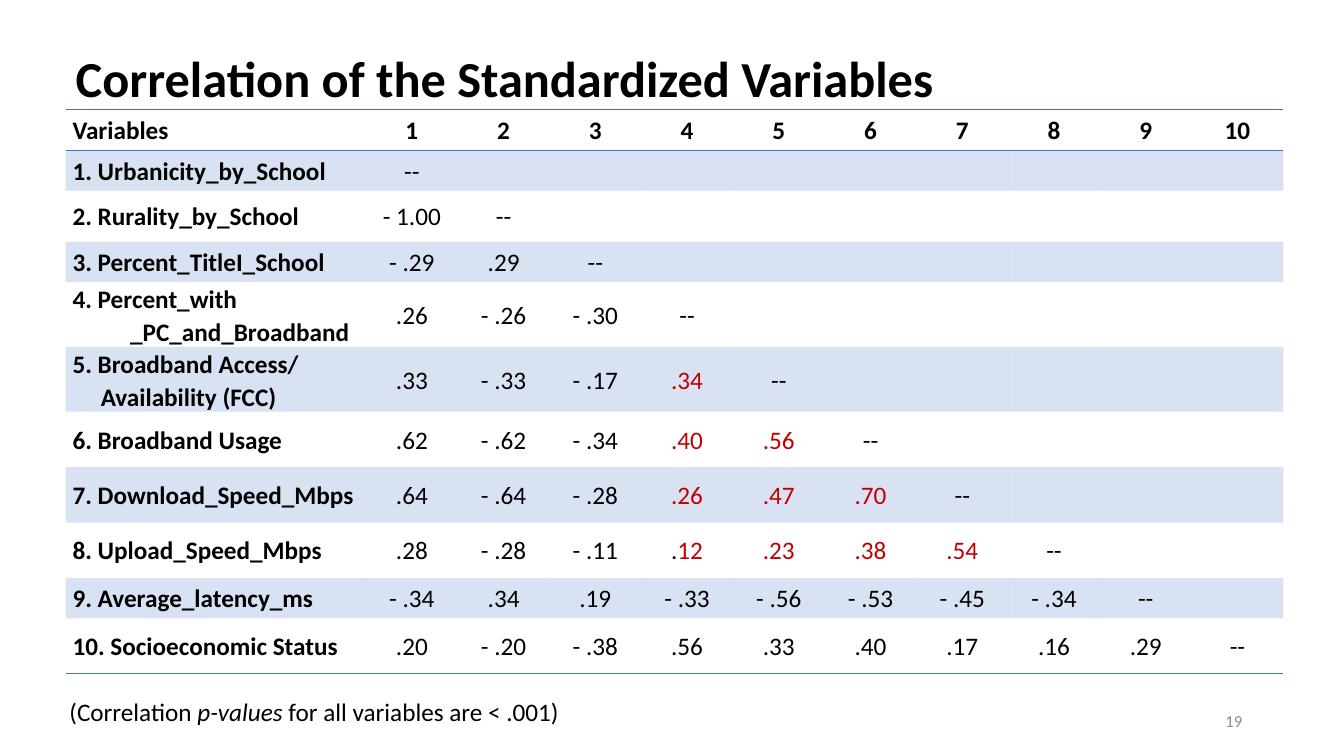
"""Build the slide with the correlation table of the standardized variables."""
from lxml import etree
from pptx import Presentation
from pptx.dml.color import RGBColor
from pptx.enum.text import MSO_ANCHOR, MSO_AUTO_SIZE, PP_ALIGN
from pptx.oxml import parse_xml
from pptx.oxml.ns import nsdecls, qn
from pptx.util import Inches, Pt

BLACK = RGBColor(0x00, 0x00, 0x00)
RED = RGBColor(0xC0, 0x00, 0x00)
BLUE = RGBColor(0x44, 0x72, 0xC4)
GRAY = RGBColor(0x8C, 0x8C, 0x8C)
LEFT, MID, RIGHT = PP_ALIGN.LEFT, PP_ALIGN.CENTER, PP_ALIGN.RIGHT
CENTER = MSO_ANCHOR.MIDDLE
PLAIN = "{2D5ABB26-0587-4C30-8999-92F81FD0307C}"

ROWS = [
    (["1. Urbanicity_by_School"], 0.4, []),
    (["2. Rurality_by_School"], 0.51, [-1]),
    (["3. Percent_TitleI_School"], 0.4, [-.29, .29]),
    (["4. Percent_with", "_PC_and_Broadband"], 0.55, [.26, -.26, -.30]),
    (["5. Broadband Access/", "Availability (FCC)"], 0.55, [.33, -.33, -.17, .34]),
    (["6. Broadband Usage"], 0.55, [.62, -.62, -.34, .40, .56]),
    (["7. Download_Speed_Mbps"], 0.55, [.64, -.64, -.28, .26, .47, .70]),
    (["8. Upload_Speed_Mbps"], 0.55, [.28, -.28, -.11, .12, .23, .38, .54]),
    (["9. Average_latency_ms"], 0.4, [-.34, .34, .19, -.33, -.56, -.53, -.45, -.34]),
    (["10. Socioeconomic Status"], 0.55, [.20, -.20, -.38, .56, .33, .40, .17, .16, .29]),
]
INDENT = {4: 0.57, 5: 0.28}


def write(para, text, color=BLACK, **look):
    run = para.add_run()
    run.text = text
    for key, val in {"name": "Calibri", "size": Pt(18), "bold": False, **look}.items():
        setattr(run.font, key, val)
    run.font.color.rgb = color


def rule(cell, side):
    cell._tc.get_or_add_tcPr().append(parse_xml(
        f'<a:{side} {nsdecls("a")} w="12700"><a:solidFill><a:srgbClr val="{BLUE}"/>'
        f'</a:solidFill></a:{side}>'))


deck = Presentation()
deck.slide_width, deck.slide_height = Inches(13.33), Inches(7.5)
slide = deck.slides.add_slide(deck.slide_layouts[5])

number = slide.shapes.add_textbox(Inches(9.42), Inches(6.95), Inches(3), Inches(0.4))
number.text_frame.word_wrap = True
number.text_frame.vertical_anchor = CENTER
para = number.text_frame.paragraphs[0]
para.alignment = RIGHT
write(para, "19", GRAY, size=Pt(12))

count = len(ROWS) + 1
frame = slide.shapes.add_table(
    count, count, Inches(0.65), Inches(1.09), Inches(12.1), Inches(5.56))
table = frame.table
table.first_row = table.horz_banding = False
next(frame._element.iter(qn("a:tableStyleId"))).text = PLAIN
for col, column in enumerate(table.columns):
    column.width = Inches(0.91 if col else 2.98)

grid = [(["Variables"], 0.4, [])] + ROWS
for row, (label, height, values) in enumerate(grid):
    table.rows[row].height = Inches(height)
    for col in range(count):
        cell = table.cell(row, col)
        margins = {"margin_left": 0.07, "margin_right": 0.07,
                   "margin_top": 0, "margin_bottom": 0}
        for key, val in margins.items():
            setattr(cell, key, Inches(val))
        cell.vertical_anchor = CENTER
        if row == 0:
            rule(cell, "lnT")
        if row in (0, count - 1):
            rule(cell, "lnB")
        if row % 2:
            cell.fill.solid()
            cell.fill.fore_color.rgb = BLUE
            tint = next(cell._tc.tcPr.iter(qn("a:srgbClr")))
            etree.SubElement(tint, qn("a:alpha")).set("val", "20000")
        else:
            cell.fill.background()

        para = cell.text_frame.paragraphs[0]
        para.alignment = MID if col else LEFT
        para.line_spacing = 1.07
        if col == 0:
            write(para, label[0], bold=True)
            for line in label[1:]:
                para = cell.text_frame.add_paragraph()
                para.line_spacing = 1.07
                para._p.get_or_add_pPr().set("marL", str(Inches(INDENT[row])))
                write(para, line, bold=True)
        elif row == 0:
            write(para, str(col), bold=True)
        elif col == row:
            write(para, "--")
        elif col < row:
            value = values[col - 1]
            text = f"{abs(value):.2f}".lstrip("0")
            color = RED if 5 <= row <= 8 and col >= 4 else BLACK
            if (row, col) == (8, 4):
                write(para, text[0])
                text = text[1:]
            write(para, "- " + text if value < 0 else text, color)

title = slide.shapes.title
place = {"left": 0.65, "top": 0.41, "width": 11.57, "height": 0.71}
for key, val in place.items():
    setattr(title, key, Inches(val))
title.text_frame.auto_size = MSO_AUTO_SIZE.NONE
title.text_frame.vertical_anchor = CENTER
para = title.text_frame.paragraphs[0]
para.alignment = LEFT
write(para, "Correlation of the Standardized Variables", size=Pt(36), bold=True)

note = slide.shapes.add_textbox(Inches(0.59), Inches(6.86), Inches(6.67), Inches(0.4))
note.text_frame.word_wrap = True
para = note.text_frame.paragraphs[0]
write(para, "(Correlation ")
write(para, "p-values", italic=True)
write(para, " for all variables are < .001)")

deck.save("out.pptx")
